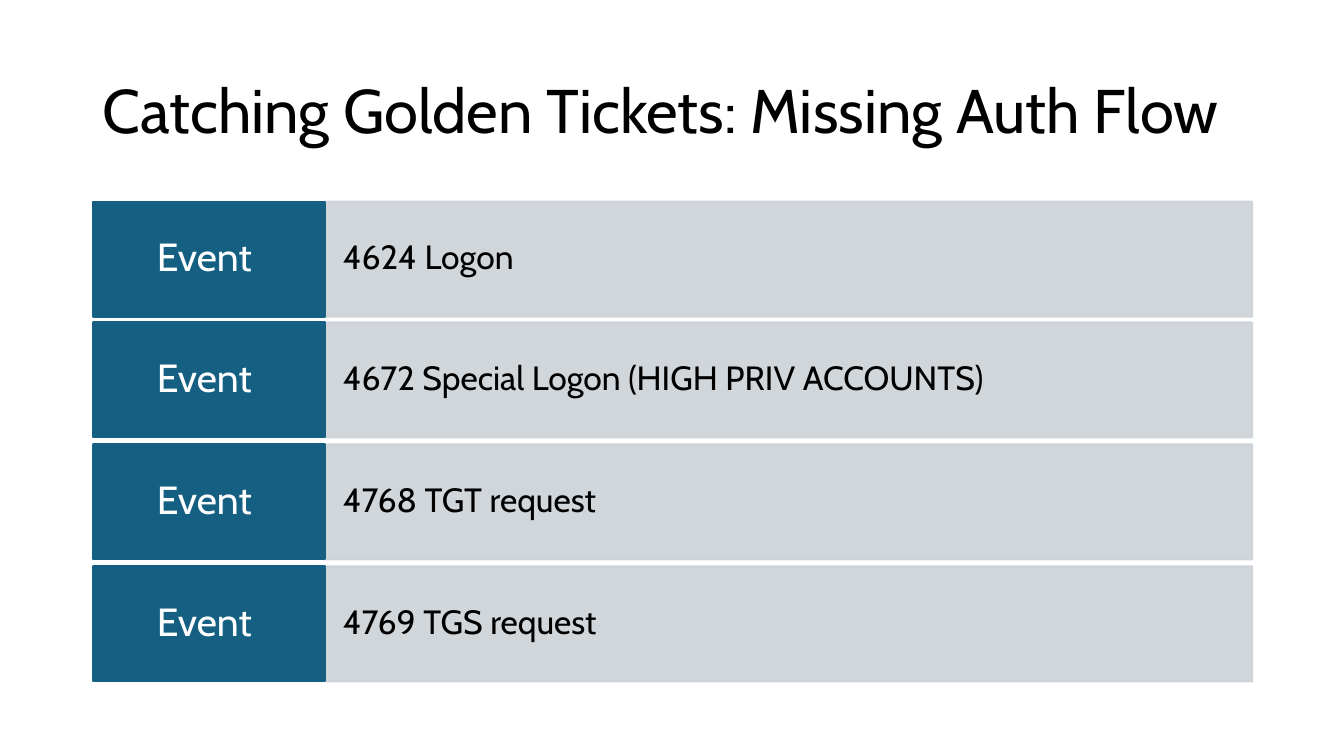
import pptx
import pptx.dml.color
import pptx.enum.shapes
import pptx.enum.text
import pptx.oxml
import pptx.util

PX = 9144  # 100 px to the inch
COLOURS = {"black": "000000", "white": "FFFFFF", "teal": "156082", "grey": "CCD2D8"}
ALIGN = pptx.enum.text.PP_ALIGN
EVENTS = [
    "4624 Logon",
    "4672 Special Logon (HIGH PRIV ACCOUNTS)",
    "4768 TGT request",
    "4769 TGS request",
]
LEFT, LABEL_WIDTH, DETAIL_WIDTH = 92, 230, 920
TOP, ROW_HEIGHT, LAST_ROW_OFFSET = 200, 114, 362


def colour(name):
    return pptx.dml.color.RGBColor.from_string(COLOURS[name])


def write_text(box, text, size, ink, align, inset_x, inset_y):
    frame = box.text_frame
    frame_format = {
        "word_wrap": True,
        "vertical_anchor": pptx.enum.text.MSO_ANCHOR.MIDDLE,
        "margin_left": inset_x * PX,
        "margin_right": inset_x * PX,
        "margin_top": inset_y * PX,
        "margin_bottom": inset_y * PX,
    }
    for name, value in frame_format.items():
        setattr(frame, name, value)
    para = frame.paragraphs[0]
    para.alignment = align
    para.line_spacing = 0.9
    span = para.add_run()
    span.text = text
    for name, value in {"name": "Cabin", "size": pptx.util.Pt(size)}.items():
        setattr(span.font, name, value)
    span.font.color.rgb = colour(ink)


deck = pptx.Presentation()
deck.slide_width = 1333 * PX
deck.slide_height = 750 * PX
page = deck.slides.add_slide(deck.slide_layouts[6])

title = page.shapes.add_textbox(LEFT * PX, 40 * PX, 1150 * PX, 145 * PX)
write_text(title, "Catching Golden Tickets: Missing Auth Flow", 44, "black", ALIGN.LEFT, 10, 5)

for row, event in enumerate(EVENTS):
    top = TOP + LAST_ROW_OFFSET * row // (len(EVENTS) - 1)
    # The label ends in a no-break space, which counts when it is centred
    cells = [
        (LEFT + LABEL_WIDTH, DETAIL_WIDTH, "grey", 90, (event, 24, "black", ALIGN.LEFT, 18, 29)),
        (LEFT, LABEL_WIDTH, "teal", 100, ("Event ", 28, "white", ALIGN.CENTER, 12, 11)),
    ]
    for left, width, paint, opacity, wording in cells:
        box = page.shapes.add_shape(
            pptx.enum.shapes.MSO_SHAPE.RECTANGLE,
            left * PX, top * PX, width * PX, ROW_HEIGHT * PX,
        )
        box.shadow.inherit = False
        box.fill.solid()
        box.line.width = pptx.util.Pt(1.5)
        for target in (box.fill.fore_color, box.line.color):
            target.rgb = colour(paint)
        if opacity < 100:
            for tint in box.fill._xPr.iter(pptx.oxml.ns.qn("a:srgbClr")):
                alpha = pptx.oxml.parse_xml(
                    f'<a:alpha {pptx.oxml.ns.nsdecls("a")} val="{opacity * 1000}"/>'
                )
                tint.append(alpha)
        write_text(box, *wording)

deck.save("out.pptx")
